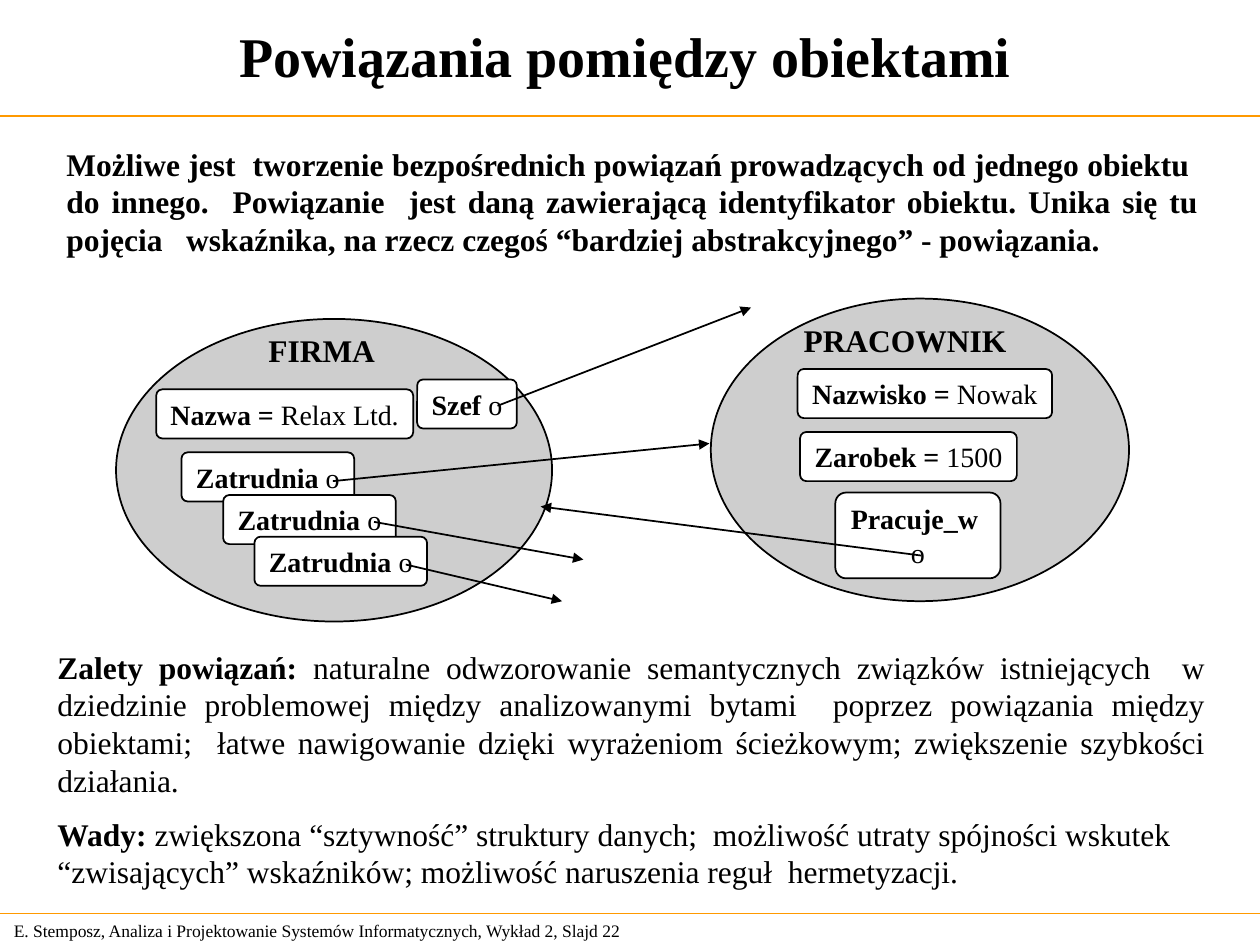
import pptx
import pptx.util
import pptx.dml.color
import pptx.enum.shapes
import pptx.enum.text
import pptx.oxml.ns
from lxml import etree

Cm, Pt = pptx.util.Cm, pptx.util.Pt
RGBColor = pptx.dml.color.RGBColor
Shape = pptx.enum.shapes.MSO_SHAPE
Anchor = pptx.enum.text.MSO_ANCHOR
Align = pptx.enum.text.PP_ALIGN
AutoSize = pptx.enum.text.MSO_AUTO_SIZE

BLACK = RGBColor(0x00, 0x00, 0x00)
WHITE = RGBColor(0xFF, 0xFF, 0xFF)
GREY = RGBColor(0xCE, 0xCE, 0xCE)
ORANGE = RGBColor(0xFF, 0x99, 0x00)
FONT = "Times New Roman"
PAGE_WIDTH, PAGE_HEIGHT = 25.4, 19.05

# Content: a paragraph is a pair (bold part, regular part); lengths in cm
FOOTER = ("", "E. Stemposz, Analiza i Projektowanie Systemów Informatycznych, Wykład 2, Slajd 22")
TITLE = ("Powiązania pomiędzy obiektami", "")
INTRO = ("Możliwe jest  tworzenie bezpośrednich powiązań prowadzących od jednego obiektu  "
         "do innego.  Powiązanie  jest daną zawierającą identyfikator obiektu. Unika się tu "
         "pojęcia   wskaźnika, na rzecz czegoś “bardziej abstrakcyjnego” - powiązania.", "")
PROS = ("Zalety powiązań: ",
        "naturalne odwzorowanie semantycznych związków istniejących  w dziedzinie "
        "problemowej między analizowanymi bytami  poprzez powiązania między obiektami;  "
        "łatwe nawigowanie dzięki wyrażeniom ścieżkowym; zwiększenie szybkości działania.")
CONS = ("Wady:",
        " zwiększona “sztywność” struktury danych;  możliwość utraty spójności wskutek "
        "“zwisających” wskaźników; możliwość naruszenia reguł  hermetyzacji.")

# Each object: ellipse, name with its place, attributes (left, top, width, paragraphs)
OBJECTS = [
    {"ellipse": (14.33, 6.02, 8.43, 6.1),
     "name": ("PRACOWNIK", (15.95, 6.35, 4.6, 1.02)),
     "attributes": [
         (16.08, 7.44, 5.13, [("Nazwisko = ", "Nowak")]),
         (16.13, 8.71, 4.37, [("Zarobek = ", "1500")]),
         (16.84, 9.93, 3.33, [("Pracuje_w ", ""), ("", "o")])]},
    {"ellipse": (2.34, 6.43, 8.79, 6.1),
     "name": ("FIRMA", (5.16, 6.55, 2.67, 1.02)),
     "attributes": [
         (3.15, 7.85, 5.18, [("Nazwa = ", "Relax Ltd.")]),
         (8.41, 7.65, 2.01, [("Szef ", "o")]),
         (3.66, 9.12, 3.48, [("Zatrudnia ", "o")]),
         (4.5, 9.98, 3.48, [("Zatrudnia ", "o")]),
         (5.13, 10.82, 3.48, [("Zatrudnia ", "o")])]},
]
LINKS = [  # from x, y to x, y
    (10.03, 8.18, 15.14, 6.2),
    (6.71, 9.7, 14.3, 8.94),
    (7.54, 10.52, 11.76, 11.28),
    (8.18, 11.38, 11.33, 12.12),
    (18.57, 11.2, 10.9, 10.21),
]
FIRST_LINE_HEIGHT, EXTRA_LINE_HEIGHT = 0.99, 0.74

deck = pptx.Presentation()
deck.slide_width, deck.slide_height = Cm(PAGE_WIDTH), Cm(PAGE_HEIGHT)
page = deck.slides.add_slide(deck.slide_layouts[6])


def write(shape, paragraphs, size, align=Align.LEFT, wrap=True, anchor=Anchor.TOP, gap=0):
    frame = shape.text_frame
    frame.word_wrap = wrap
    frame.auto_size = AutoSize.NONE
    frame.vertical_anchor = anchor
    for index, parts in enumerate(paragraphs):
        para = frame.add_paragraph() if index else frame.paragraphs[0]
        para.alignment = align
        if index and gap:
            para.space_before = Pt(gap)
        para.font.name, para.font.size = FONT, Pt(size)
        para.font.color.rgb = BLACK
        for text, bold in zip(parts, (True, False)):
            if text:
                span = para.add_run()
                span.text = text
                span.font.bold = bold


def add_text(place, paragraphs, size, **options):
    box = page.shapes.add_textbox(*map(Cm, place))
    write(box, paragraphs, size, **options)
    return box


def add_outlined(kind, place, fill):
    shape = page.shapes.add_shape(kind, *map(Cm, place))
    shape.shadow.inherit = False
    shape.fill.solid()
    shape.fill.fore_color.rgb = fill
    shape.line.color.rgb = BLACK
    shape.line.width = Pt(1)
    return shape


def add_line(ends, color, width, arrow=False):
    line = page.shapes.add_connector(pptx.enum.shapes.MSO_CONNECTOR.STRAIGHT, *map(Cm, ends))
    line.line.color.rgb = color
    line.line.width = Pt(width)
    if arrow:
        etree.SubElement(line.line._get_or_add_ln(), pptx.oxml.ns.qn("a:tailEnd"), type="triangle")
    etree.SubElement(line._element.spPr, pptx.oxml.ns.qn("a:effectLst"))


# Footer, rules and title
add_text((0.03, 18.42, 13.31, 0.69), [FOOTER], 10, anchor=Anchor.MIDDLE)
for rule_y in (2.34, 18.42):
    add_line((0, rule_y, PAGE_WIDTH, rule_y), ORANGE, 0.75)
add_text((0, 0.03, 25.22, 2.16), [TITLE], 32, align=Align.CENTER, anchor=Anchor.MIDDLE)

# Objects with their attributes
for item in OBJECTS:
    add_outlined(Shape.OVAL, item["ellipse"], GREY)
    name, place = item["name"]
    add_text(place, [(name, "")], 18, wrap=False)
    for left, top, width, paragraphs in item["attributes"]:
        height = FIRST_LINE_HEIGHT + EXTRA_LINE_HEIGHT * (len(paragraphs) - 1)
        attribute = add_outlined(Shape.ROUNDED_RECTANGLE, (left, top, width, height), WHITE)
        attribute.adjustments[0] = 0.125
        write(attribute, paragraphs, 16, align=Align.CENTER, wrap=False)

# Links between objects
for ends in LINKS:
    add_line(ends, BLACK, 1, arrow=True)

# Body text
summary = add_text((0.91, 12.93, 23.65, 5.16), [PROS, CONS], 18, align=Align.JUSTIFY, gap=9)
summary.text_frame.paragraphs[1].alignment = Align.LEFT
add_text((1.09, 2.79, 23.32, 2.54), [INTRO], 18, align=Align.JUSTIFY)

deck.save("out.pptx")
